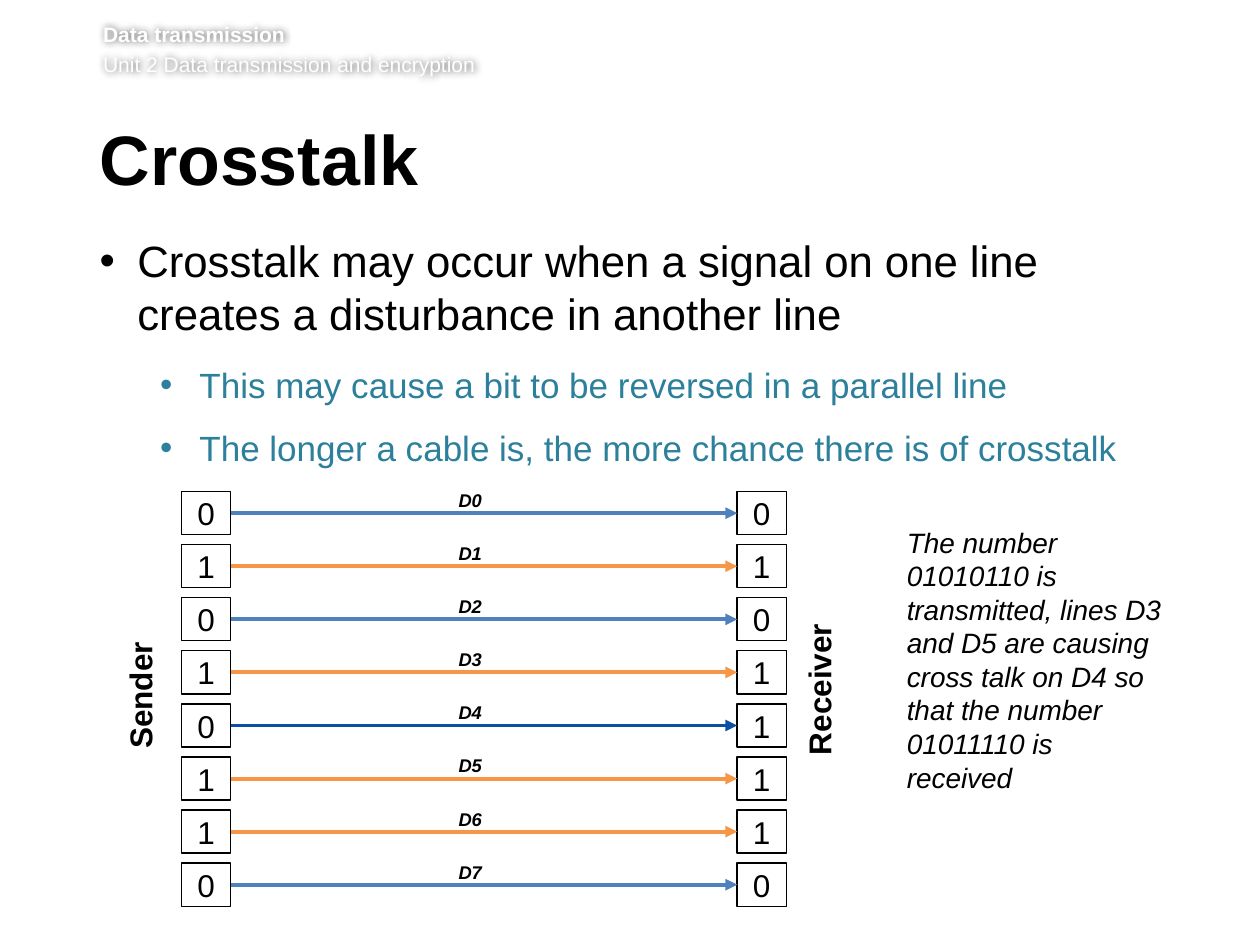
from typing import NamedTuple

from lxml.etree import SubElement
from pptx import Presentation
from pptx.dml.color import RGBColor
from pptx.enum.shapes import MSO_CONNECTOR, MSO_SHAPE
from pptx.enum.text import MSO_ANCHOR, MSO_AUTO_SIZE, PP_ALIGN
from pptx.oxml.ns import qn
from pptx.util import Cm, Pt

BLACK = RGBColor(0x00, 0x00, 0x00)
WHITE = RGBColor(0xFF, 0xFF, 0xFF)
TEAL = RGBColor(0x2C, 0x80, 0x9C)
BLUE = RGBColor(0x4F, 0x81, 0xBD)
ORANGE = RGBColor(0xF7, 0x96, 0x46)
DARK_BLUE = RGBColor(0x0B, 0x4F, 0xA5)

FIRST_TOP = 9.91
ROW_STEP = 1.07
BOX_W, BOX_H = 0.99, 0.87
SENDER_X, RECEIVER_X = 3.66, 14.86


class Line(NamedTuple):
    sent: str
    received: str
    color: RGBColor


class Bullet(NamedTuple):
    text: str
    level: int
    size: float
    color: RGBColor
    margin: float
    hanging: float
    after: float


LINES = [
    Line("0", "0", BLUE),
    Line("1", "1", ORANGE),
    Line("0", "0", BLUE),
    Line("1", "1", ORANGE),
    Line("0", "1", DARK_BLUE),
    Line("1", "1", ORANGE),
    Line("1", "1", ORANGE),
    Line("0", "0", BLUE),
]
BULLETS = [
    Bullet("Crosstalk may occur when a signal on one line creates a disturbance "
           "in another line", 0, 25, BLACK, 0.76, 0.76, 14),
    Bullet("This may cause a bit to be reversed in a parallel line",
           1, 20, TEAL, 2.01, 0.79, 12),
    Bullet("The longer a cable is, the more chance there is of crosstalk",
           1, 20, TEAL, 2.01, 0.79, 12),
]


def place(sp, left: float, top: float, width: float, height: float) -> None:
    sp.left, sp.top, sp.width, sp.height = map(Cm, (left, top, width, height))


def set_insets(tf, left: float, top: float, right: float, bottom: float) -> None:
    tf.margin_left, tf.margin_top = Cm(left), Cm(top)
    tf.margin_right, tf.margin_bottom = Cm(right), Cm(bottom)


def write(p, text: str, *, size: float, color: RGBColor = BLACK,
          bold: bool = False, italic: bool = False, align=PP_ALIGN.LEFT) -> None:
    p.alignment = align
    r = p.add_run()
    r.text = text
    r.font.name = "Arial"
    r.font.size = Pt(size)
    r.font.bold = bold
    r.font.italic = italic
    r.font.color.rgb = color


def add_text(s, text: str, left: float, top: float, width: float, height: float,
             *, rotation: float = 0, anchor=MSO_ANCHOR.TOP, **style) -> None:
    sp = s.shapes.add_textbox(Cm(left), Cm(top), Cm(width), Cm(height))
    sp.rotation = rotation
    tf = sp.text_frame
    tf.word_wrap = True
    tf.vertical_anchor = anchor
    write(tf.paragraphs[0], text, **style)


def add_header(s) -> None:
    sp = s.shapes.add_textbox(Cm(2.08), Cm(0.43), Cm(22.4), Cm(1.24))
    tf = sp.text_frame
    tf.word_wrap = True
    set_insets(tf, 0, 0, 0, 0.13)
    write(tf.paragraphs[0], "Data transmission", size=12, color=WHITE, bold=True)
    p = tf.add_paragraph()
    p.space_before = Pt(2.9)
    write(p, "Unit 2 Data transmission and encryption", size=12, color=WHITE)
    effects = SubElement(sp._element.spPr, qn("a:effectLst"))
    shadow = SubElement(effects, qn("a:outerShdw"), blurRad="50800", dist="0")
    color = SubElement(shadow, qn("a:srgbClr"), val="000000")
    SubElement(color, qn("a:alpha"), val="60000")


def fill_title(sp) -> None:
    place(sp, 2.01, 2.51, 21.72, 1.85)
    tf = sp.text_frame
    tf.auto_size = MSO_AUTO_SIZE.NONE
    tf.vertical_anchor = MSO_ANCHOR.TOP
    set_insets(tf, 0, 0.13, 0.25, 0.13)
    p = tf.paragraphs[0]
    p.line_spacing = Pt(39)
    write(p, "Crosstalk", size=40, bold=True)


def fill_body(sp) -> None:
    place(sp, 2.01, 4.72, 21.67, 9.6)
    tf = sp.text_frame
    tf.auto_size = MSO_AUTO_SIZE.NONE
    set_insets(tf, 0, 0, 0.25, 0.13)
    for i, b in enumerate(BULLETS):
        p = tf.add_paragraph() if i else tf.paragraphs[0]
        p.level = b.level
        p.space_before, p.space_after = Pt(0), Pt(b.after)
        pPr = p._p.get_or_add_pPr()
        pPr.set("marL", str(Cm(b.margin)))
        pPr.set("indent", str(-Cm(b.hanging)))
        SubElement(pPr, qn("a:buFont"), typeface="Arial")
        SubElement(pPr, qn("a:buChar"), char="•")
        write(p, b.text, size=b.size, color=b.color)


def add_bit(s, bit: str, left: float, top: float):
    sp = s.shapes.add_shape(MSO_SHAPE.RECTANGLE, Cm(left), Cm(top), Cm(BOX_W), Cm(BOX_H))
    sp.shadow.inherit = False
    sp.fill.solid()
    sp.fill.fore_color.rgb = WHITE
    sp.line.color.rgb = BLACK
    sp.line.width = Pt(0.75)
    sp.text_frame.vertical_anchor = MSO_ANCHOR.MIDDLE
    write(sp.text_frame.paragraphs[0], bit, size=18, align=PP_ALIGN.CENTER)
    return sp


def add_arrow(s, sender, receiver, color: RGBColor) -> None:
    cxn = s.shapes.add_connector(MSO_CONNECTOR.STRAIGHT, 0, 0, 0, 0)
    cxn.begin_connect(sender, 3)
    cxn.end_connect(receiver, 1)
    cxn.line.color.rgb = color
    cxn.line.width = Pt(2.25)
    SubElement(cxn.line._get_or_add_ln(), qn("a:tailEnd"), type="triangle")
    SubElement(cxn._element.spPr, qn("a:effectLst"))


def add_data_line(s, index: int, line: Line) -> None:
    top = FIRST_TOP + index * ROW_STEP
    sender = add_bit(s, line.sent, SENDER_X, top)
    receiver = add_bit(s, line.received, RECEIVER_X, top)
    add_arrow(s, sender, receiver, line.color)
    add_text(s, f"D{index}", 8.64, top - 0.26, 1.68, BOX_H, size=10.5, bold=True,
             italic=True, align=PP_ALIGN.CENTER, anchor=MSO_ANCHOR.MIDDLE)


def main() -> None:
    prs = Presentation()
    prs.slide_width, prs.slide_height = Cm(25.4), Cm(19.05)
    s = prs.slides.add_slide(prs.slide_layouts[1])
    add_header(s)
    fill_title(s.shapes.title)
    fill_body(s.placeholders[1])
    for i, line in enumerate(LINES):
        add_data_line(s, i, line)
    add_text(s, "Sender", 1.35, 13.36, 2.95, 1.02, rotation=270, size=18, bold=True)
    add_text(s, "Receiver", 14.91, 13.36, 3.2, 1.02, rotation=270, size=18, bold=True)
    add_text(s, "The number 01010110 is transmitted, lines D3 and D5 are causing "
             "cross talk on D4 so that the number 01011110 is received",
             18.03, 10.46, 5.66, 5.74, size=16, italic=True)
    prs.save("out.pptx")


if __name__ == "__main__":
    main()
